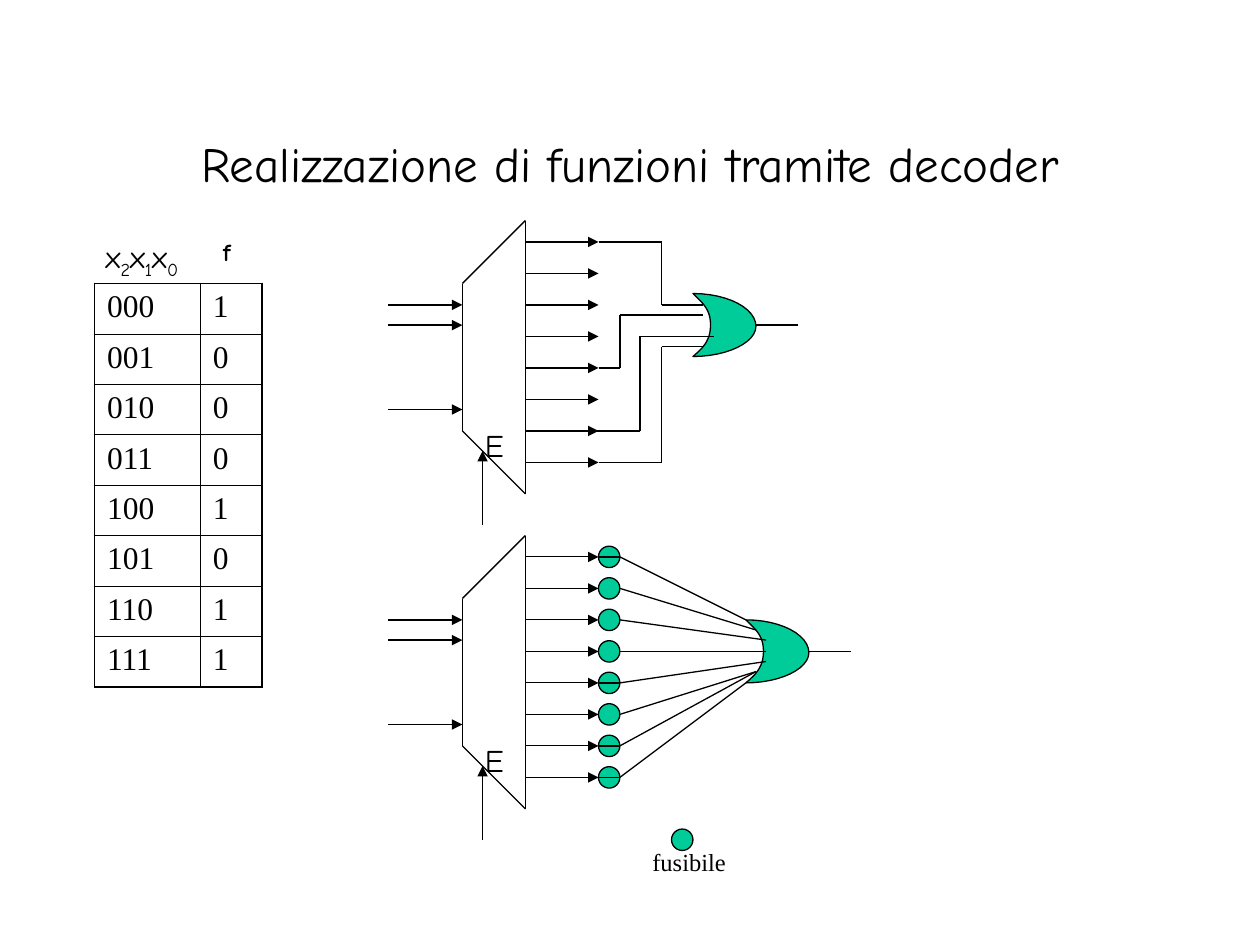
"""Build the slide on implementing logic functions with a decoder."""
from dataclasses import dataclass
from itertools import pairwise

from lxml import etree
from pptx import Presentation
from pptx.dml.color import RGBColor
from pptx.enum.shapes import MSO_CONNECTOR, MSO_SHAPE
from pptx.enum.text import MSO_ANCHOR, MSO_AUTO_SIZE, PP_ALIGN
from pptx.oxml.ns import qn
from pptx.util import Inches, Pt

STRAIGHT = MSO_CONNECTOR.STRAIGHT
OVAL = MSO_SHAPE.OVAL
MIDDLE = MSO_ANCHOR.MIDDLE
FIT_TEXT = MSO_AUTO_SIZE.SHAPE_TO_FIT_TEXT
LEFT, CENTER = PP_ALIGN.LEFT, PP_ALIGN.CENTER

COLORS = {"ink": "000000", "gate": "00CC99"}
SANS, SERIF = "Comic Neue", "Times New Roman"
Point = tuple[float, float]

MINTERMS = {0, 4, 6, 7}
OUTPUTS = 8
BUS_LEFT, BODY_LEFT, BODY_RIGHT, OUTPUT_END = 3.08, 3.67, 4.17, 4.75
FUSE_SIZE = 0.17
FUSE_RIGHT = OUTPUT_END + FUSE_SIZE
GATE_START = (0, 0.5)
GATE_CURVES = [
    ((0.07, 0.44), (0.14, 0.38), (0.14, 0.25)),
    ((0.14, 0.12), (0.07, 0.07), (0, 0)),
    ((0.28, 0), (0.5, 0.12), (0.5, 0.26)),
    ((0.5, 0.39), (0.27, 0.5), (0, 0.5)),
]
CURVE_STEPS = 12
WIRES = [
    [(4.75, 1.92), (5.25, 1.92), (5.25, 2.42), (5.58, 2.42)],
    [(4.75, 2.92), (4.92, 2.92), (4.92, 2.5), (5.58, 2.5)],
    [(4.67, 3.42), (5.08, 3.42), (5.08, 2.67), (5.67, 2.67)],
    [(4.75, 3.67), (5.25, 3.67), (5.25, 2.75), (5.58, 2.75)],
]
FUSE_WIRE_ENDS = [(5.92, 4.92), (6, 5), (6.08, 5.08), (6.08, 5.17),
                  (6.08, 5.25), (6, 5.33), (6, 5.33), (5.92, 5.42)]


@dataclass
class Decoder:
    top: float
    output_width: float

    def output_y(self, index: int) -> float:
        return self.top + 0.17 + 0.25 * index


@dataclass
class Label:
    text: str
    left: float
    top: float
    width: float
    height: float
    size: int = 18
    family: str = SANS
    bold: bool = False
    align: PP_ALIGN = LEFT


def color(name: str) -> RGBColor:
    return RGBColor.from_string(COLORS[name])


def style_font(font, size: int, family: str, bold: bool = False) -> None:
    font.size, font.name, font.bold = Pt(size), family, bold
    font.color.rgb = color("ink")


def style_body(shape) -> None:
    shape.shadow.inherit = False
    shape.fill.solid()
    shape.fill.fore_color.rgb = color("gate")
    shape.line.color.rgb = color("ink")
    shape.line.width = Pt(0.75)


def draw_line(slide, start: Point, end: Point, width: float = 0.75, arrow: bool = False) -> None:
    segment = slide.shapes.add_connector(STRAIGHT, *(Inches(v) for v in (*start, *end)))
    segment.line.color.rgb = color("ink")
    segment.line.width = Pt(width)
    if arrow:
        etree.SubElement(segment.line._get_or_add_ln(), qn("a:tailEnd"), type="triangle")
    etree.SubElement(segment._element.spPr, qn("a:effectLst"))


def draw_label(slide, label: Label):
    box = slide.shapes.add_textbox(
        *(Inches(v) for v in (label.left, label.top, label.width, label.height)))
    frame = box.text_frame
    frame.word_wrap = True
    frame.auto_size = FIT_TEXT
    paragraph = frame.paragraphs[0]
    paragraph.alignment = label.align
    if label.text:
        paragraph.add_run().text = label.text
    style_font(paragraph.font, label.size, label.family, label.bold)
    return paragraph


def draw_variables(slide) -> None:
    paragraph = draw_label(slide, Label("", 0.74, 1.83, 0.92, 0.44))
    for character in "x2x1x0":
        run = paragraph.add_run()
        run.text = character
        if character.isdigit():
            run.font._element.set("baseline", "-25000")


def draw_border(cell, side: str, width: float, position: int) -> None:
    border = etree.Element(qn(f"a:ln{side}"), w=str(Pt(width)))
    fill = etree.SubElement(border, qn("a:solidFill"))
    etree.SubElement(fill, qn("a:srgbClr"), val=COLORS["ink"])
    cell._tc.get_or_add_tcPr().insert(position, border)


def draw_truth_table(slide) -> None:
    table = slide.shapes.add_table(
        OUTPUTS, 2, Inches(0.75), Inches(2.25), Inches(1.33), Inches(3.2)).table
    table.first_row = table.horz_banding = False
    for column, width in zip(table.columns, (0.84, 0.49)):
        column.width = Inches(width)
    for index in range(OUTPUTS):
        values = (f"{index:03b}", str(int(index in MINTERMS)))
        for column, value in enumerate(values):
            cell = table.cell(index, column)
            cell.text = value
            style_font(cell.text_frame.paragraphs[0].font, 18, SERIF)
            cell.fill.background()
            outer = {"L": column == 0, "R": column == 1,
                     "T": index == 0, "B": index == OUTPUTS - 1}
            for position, (side, is_outer) in enumerate(outer.items()):
                draw_border(cell, side, 1.08 if is_outer else 0.45, position)


def draw_decoder(slide, decoder: Decoder) -> None:
    top = decoder.top
    outline = [(BODY_RIGHT, top), (BODY_LEFT, top + 0.5),
               (BODY_LEFT, top + 1.67), (BODY_RIGHT, top + 2.17)]
    for start, end in pairwise(outline):
        draw_line(slide, start, end)
    draw_line(slide, outline[0], outline[-1], decoder.output_width)
    for offset in (0.67, 0.83, 1.5):
        draw_line(slide, (BUS_LEFT, top + offset), (BODY_LEFT, top + offset), arrow=True)
    for index in range(OUTPUTS):
        y = decoder.output_y(index)
        draw_line(slide, (BODY_RIGHT, y), (OUTPUT_END, y), decoder.output_width, True)
    draw_line(slide, (3.83, top + 2.42), (3.83, top + 1.83), arrow=True)
    draw_label(slide, Label("E", 3.75, top + 1.58, 0.4, 0.4))


def draw_or_gate(slide, left: float, top: float) -> None:
    points, start = [], GATE_START
    for first, second, end in GATE_CURVES:
        for step in range(1, CURVE_STEPS + 1):
            t = step / CURVE_STEPS
            u = 1 - t
            points.append(tuple(
                u**3 * a + 3 * u * u * t * b + 3 * u * t * t * c + t**3 * d
                for a, b, c, d in zip(start, first, second, end)))
        start = end
    outline = [(Inches(left + x), Inches(top + y)) for x, y in points]
    builder = slide.shapes.build_freeform(*outline[-1])
    builder.add_line_segments(outline, close=True)
    style_body(builder.convert_to_shape())
    draw_line(slide, (left + 0.5, top + 0.25), (left + 0.83, top + 0.25))


def draw_fuse(slide, left: float, top: float) -> None:
    style_body(slide.shapes.add_shape(
        OVAL, Inches(left), Inches(top), Inches(FUSE_SIZE), Inches(FUSE_SIZE)))


def main() -> None:
    presentation = Presentation()
    presentation.slide_width, presentation.slide_height = Inches(10), Inches(7.5)
    slide = presentation.slides.add_slide(presentation.slide_layouts[5])
    title = slide.shapes.title
    title.left, title.top, title.width, title.height = (
        Inches(v) for v in (0.75, 0.67, 8.5, 1.25))
    title.text_frame.text = "Realizzazione di funzioni tramite decoder"
    title.text_frame.vertical_anchor = MIDDLE
    heading = title.text_frame.paragraphs[0]
    heading.alignment = CENTER
    style_font(heading.font, 28, SANS)

    draw_truth_table(slide)
    draw_variables(slide)
    draw_label(slide, Label("f", 1.67, 1.83, 0.33, 0.34, 14, bold=True))

    wired, fused = Decoder(1.75, 0.75), Decoder(4.25, 0.5)
    draw_decoder(slide, wired)
    draw_or_gate(slide, 5.5, 2.33)
    for wire in WIRES:
        for start, end in pairwise(wire):
            draw_line(slide, start, end)

    draw_decoder(slide, fused)
    draw_or_gate(slide, 5.92, 4.92)
    for index, wire_end in enumerate(FUSE_WIRE_ENDS):
        y = fused.output_y(index)
        draw_fuse(slide, OUTPUT_END, y - FUSE_SIZE / 2)
        draw_line(slide, (FUSE_RIGHT, y), wire_end)
        if index in MINTERMS:
            draw_line(slide, (OUTPUT_END, y), (FUSE_RIGHT, y))
    draw_fuse(slide, 5.33, 6.58)
    draw_label(slide, Label("fusibile", 5.02, 6.67, 0.9, 0.34, 14, SERIF, align=CENTER))
    presentation.save("out.pptx")


if __name__ == "__main__":
    main()
